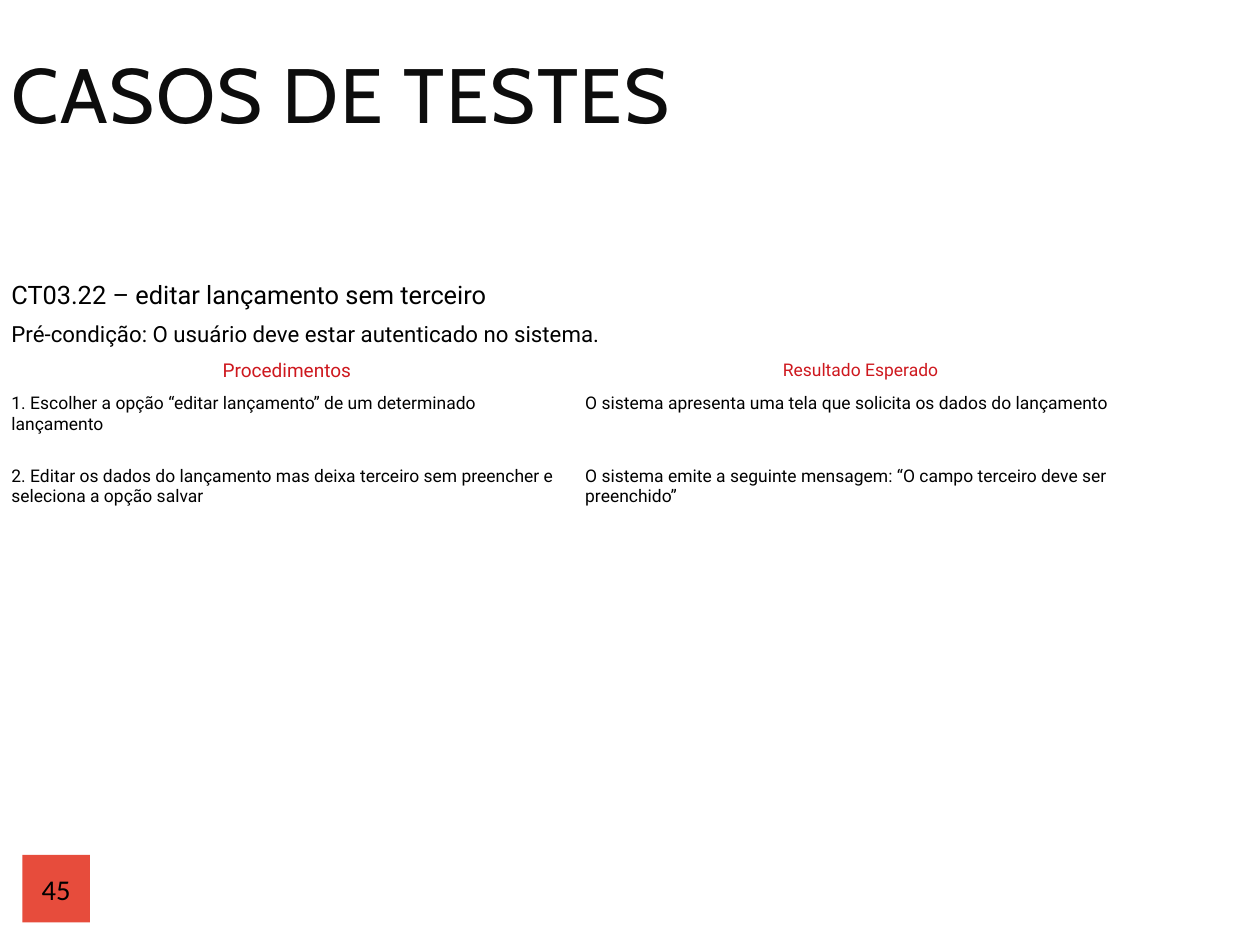
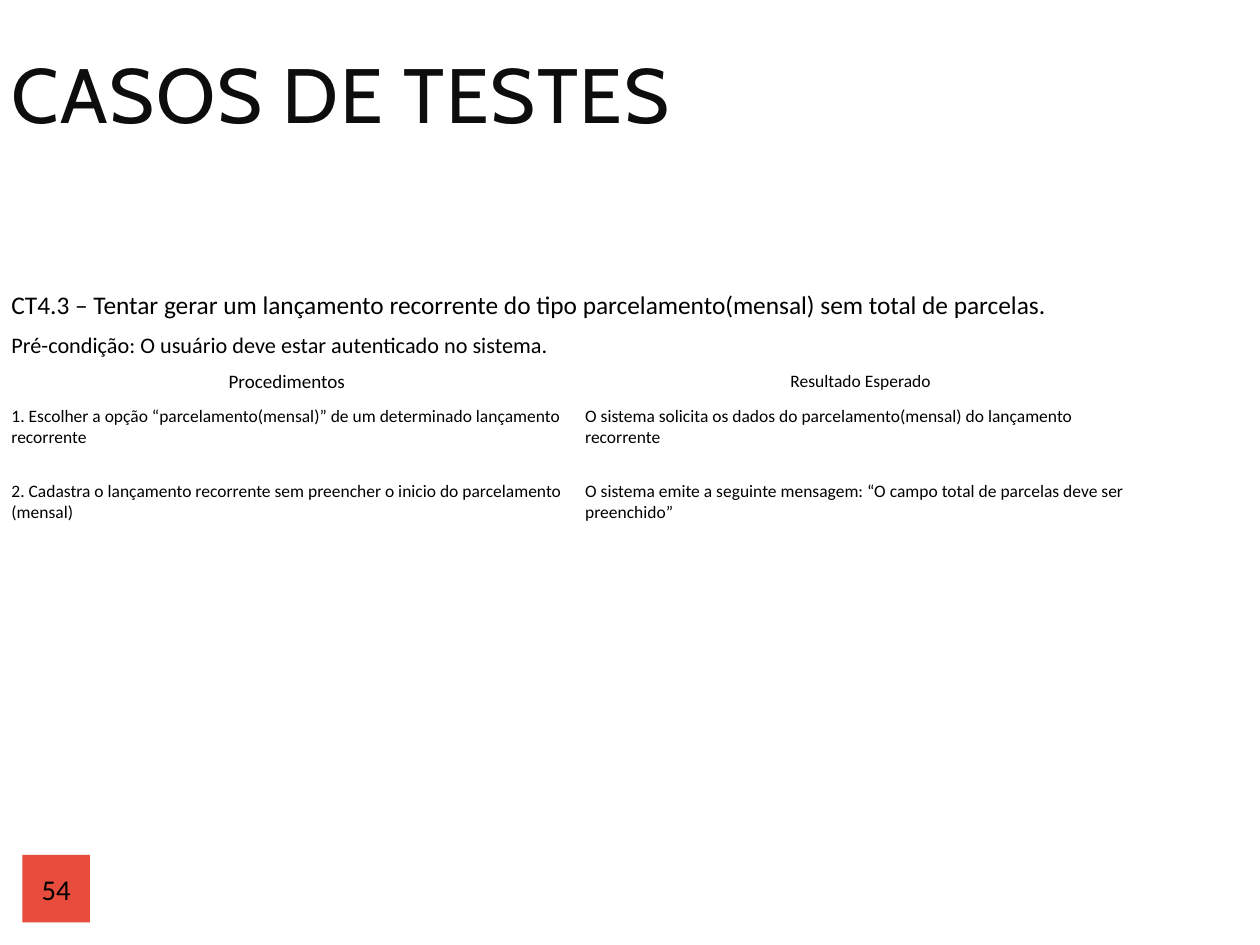
from dataclasses import dataclass

from pptx import Presentation
from pptx.dml.color import RGBColor
from pptx.enum.shapes import MSO_SHAPE
from pptx.enum.text import MSO_ANCHOR, MSO_AUTO_SIZE, PP_ALIGN
from pptx.slide import Slide
from pptx.table import _Cell
from pptx.text.text import _Paragraph
from pptx.util import Cm, Pt

BLACK = RGBColor(0x00, 0x00, 0x00)
INK = RGBColor(0x0D, 0x0D, 0x0D)
RED = RGBColor(0xCE, 0x18, 0x1E)
CORAL = RGBColor(0xE7, 0x4C, 0x3C)

TITLE = "CASOS DE TESTES"
CONDITION = "Pré-condição: O usuário deve estar autenticado no sistema."
HEADS = ("Procedimentos", "Resultado Esperado")
HEAD_SIZES = (12, 11)
NAME_SIZE, CONDITION_SIZE, STEP_SIZE = 16, 14, 11
STEP_LINES = 3
COLUMN = Cm(12.75)
PADDING = Cm(0.25)


@dataclass(frozen=True)
class Look:
    font: str
    line: float  # line height as a multiple of the text size
    accent: RGBColor
    lead: dict[str, object]  # paragraph format of the name row


@dataclass(frozen=True)
class Case:
    page: int
    top: float
    look: Look
    name: str
    steps: tuple[tuple[str, str], ...]


ROBOTO = Look("Roboto", 1.17, RED, {})
CALIBRI = Look("Calibri", 1.22, BLACK,
               {"line_spacing": 0.94, "space_before": Pt(3.5)})

CASES = (
    Case(45, 6.12, ROBOTO, "CT03.22 – editar lançamento sem terceiro", (
        ("1. Escolher a opção “editar lançamento” de um determinado lançamento",
         "O sistema apresenta uma tela que solicita os dados do lançamento"),
        ("2. Editar os dados do lançamento mas deixa terceiro sem preencher e "
         "seleciona a opção salvar",
         "O sistema emite a seguinte mensagem: “O campo terceiro deve ser "
         "preenchido”"),
    )),
    Case(54, 6.35, CALIBRI,
         "CT4.3 – Tentar gerar um lançamento recorrente do tipo "
         "parcelamento(mensal) sem total de parcelas.", (
             ("1. Escolher a opção “parcelamento(mensal)” de um determinado "
              "lançamento recorrente",
              "O sistema solicita os dados do parcelamento(mensal) do "
              "lançamento recorrente"),
             ("2. Cadastra o lançamento recorrente sem preencher o inicio do "
              "parcelamento (mensal)",
              "O sistema emite a seguinte mensagem: “O campo total de parcelas "
              "deve ser preenchido”"),
         )),
)


def apply(target: object, values: dict[str, object]) -> None:
    for name, value in values.items():
        setattr(target, name, value)


def write(para: _Paragraph, text: str, font: str, size: float,
          color: RGBColor = BLACK, align: PP_ALIGN = PP_ALIGN.LEFT) -> None:
    para.alignment = align
    run = para.add_run()
    run.text = text
    apply(run.font, {"name": font, "size": Pt(size), "bold": False})
    run.font.color.rgb = color


def add_title(slide: Slide) -> None:
    title = slide.shapes.title
    apply(title, {"left": Cm(0), "top": Cm(1), "width": Cm(26), "height": Cm(2.5)})
    frame = title.text_frame
    apply(frame, {"word_wrap": True, "auto_size": MSO_AUTO_SIZE.NONE,
                  "vertical_anchor": MSO_ANCHOR.MIDDLE})
    para = frame.paragraphs[0]
    para.line_spacing = 0.8
    write(para, TITLE, "Cabin", 48.5, INK)
    para.runs[0].font._element.set("spc", "110")


def add_page(slide: Slide, page: int) -> None:
    box = slide.shapes.add_shape(MSO_SHAPE.RECTANGLE,
                                 Cm(0.5), Cm(19), Cm(1.5), Cm(1.5))
    box.shadow.inherit = False
    box.fill.solid()
    box.fill.fore_color.rgb = CORAL
    box.line.fill.background()
    frame = box.text_frame
    apply(frame, {"margin_left": 0, "margin_right": 0, "margin_top": 0,
                  "margin_bottom": 0, "vertical_anchor": MSO_ANCHOR.MIDDLE})
    write(frame.paragraphs[0], str(page), "Calibri", 18, align=PP_ALIGN.CENTER)


def fill_row(cells: list[_Cell], texts: tuple[str, ...], sizes: tuple[int, ...],
             look: Look, color: RGBColor = BLACK,
             align: PP_ALIGN = PP_ALIGN.LEFT) -> None:
    for cell, text, size in zip(cells, texts, sizes):
        write(cell.text_frame.paragraphs[0], text, look.font, size, color, align)


def add_table(slide: Slide, case: Case) -> None:
    look = case.look
    step_sizes = (STEP_SIZE, STEP_SIZE)
    lines = [NAME_SIZE * look.lead.get("line_spacing", 1), CONDITION_SIZE,
             max(HEAD_SIZES)] + [STEP_LINES * STEP_SIZE] * len(case.steps)
    heights = [Pt(size * look.line) + PADDING for size in lines]
    table = slide.shapes.add_table(len(heights), 2, Cm(0), Cm(case.top),
                                   2 * COLUMN, sum(heights)).table
    apply(table, {"first_row": False, "horz_banding": False})
    for row, height in zip(table.rows, heights):
        row.height = height
    for cell in table.iter_cells():
        cell.fill.background()

    name, condition, heads, *steps = [list(row.cells) for row in table.rows]
    for first, last in (name, condition):
        first.merge(last)
    apply(name[0].text_frame.paragraphs[0], look.lead)
    fill_row(name, (case.name,), (NAME_SIZE,), look)
    fill_row(condition, (CONDITION,), (CONDITION_SIZE,), look)
    fill_row(heads, HEADS, HEAD_SIZES, look, look.accent, PP_ALIGN.CENTER)
    for cells, texts in zip(steps, case.steps):
        fill_row(cells, texts, step_sizes, look)


def main() -> None:
    deck = Presentation()
    apply(deck, {"slide_width": Cm(28), "slide_height": Cm(21)})
    for case in CASES:
        slide = deck.slides.add_slide(deck.slide_layouts[5])
        add_title(slide)
        add_page(slide, case.page)
        add_table(slide, case)
    deck.save("out.pptx")


if __name__ == "__main__":
    main()
